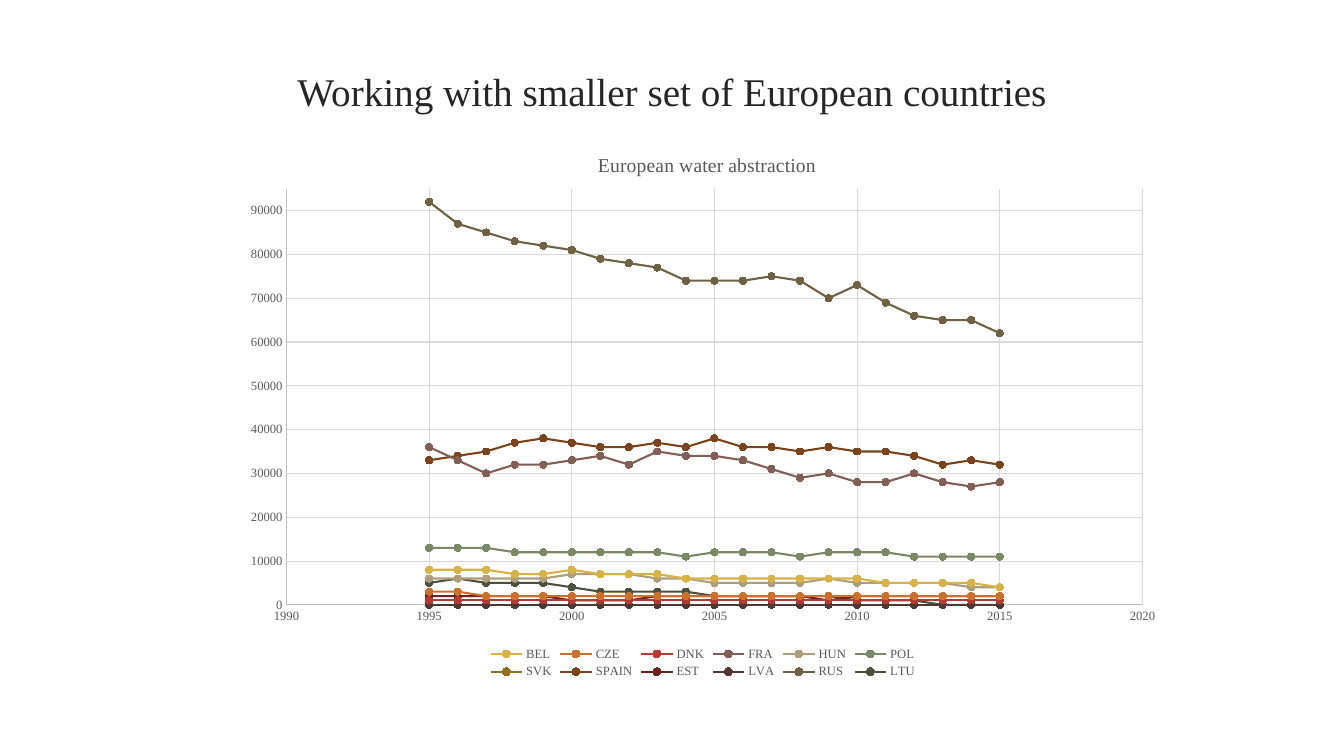
from lxml.etree import SubElement as Sub
from pptx import Presentation
from pptx.chart.data import XyChartData
from pptx.dml.color import RGBColor
from pptx.enum.chart import XL_CHART_TYPE as Kind
from pptx.enum.chart import XL_LEGEND_POSITION as Side
from pptx.enum.chart import XL_MARKER_STYLE as Mark
from pptx.enum.chart import XL_TICK_MARK as Tick
from pptx.enum.text import MSO_ANCHOR as Anchor
from pptx.enum.text import PP_ALIGN as Align
from pptx.oxml.ns import qn
from pptx.util import Inches, Pt

YEARS = range(1995, 2016)

# Country: line colour, water abstraction in thousands for each year
WATER = {
    "BEL": ("D9B247", [8, 8, 8, 7, 7, 8, 7, 7, 7, 6, 6,
                       6, 6, 6, 6, 6, 5, 5, 5, 5, 4]),
    "CZE": ("CC702D", [3, 3] + [2] * 19),
    "DNK": ("B53A31", [1] * 21),
    "FRA": ("815F56", [36, 33, 30, 32, 32, 33, 34, 32, 35, 34, 34,
                       33, 31, 29, 30, 28, 28, 30, 28, 27, 28]),
    "HUN": ("AE9E7C", [6, 6, 6, 6, 6, 7, 7, 7, 6, 6, 5,
                       5, 5, 5, 6, 5, 5, 5, 5, 4, 4]),
    "POL": ("7B8865", [13, 13, 13, 12, 12, 12, 12, 12, 12, 11, 12,
                       12, 12, 11, 12, 12, 12, 11, 11, 11, 11]),
    "SVK": ("8F711E", [1] * 21),
    "SPAIN": ("7A431B", [33, 34, 35, 37, 38, 37, 36, 36, 37, 36, 38,
                         36, 36, 35, 36, 35, 35, 34, 32, 33, 32]),
    "EST": ("6D231D", [2, 2, 2, 2, 2, 1, 1, 1, 2, 2, 2,
                       2, 2, 2, 1, 2, 2, 2, 2, 2, 2]),
    "LVA": ("4D3934", [0] * 21),
    "RUS": ("6E6144", [92, 87, 85, 83, 82, 81, 79, 78, 77, 74, 74,
                       74, 75, 74, 70, 73, 69, 66, 65, 65, 62]),
    "LTU": ("4A523D", [5, 6, 5, 5, 5, 4, 3, 3, 3, 3, 2,
                       2, 2, 2, 2, 1, 1, 1, 0, 0, 0]),
}


def tint(code):
    return RGBColor.from_string(code)


def paint(line, code, width):
    line.color.rgb = tint(code)
    line.width = Pt(width)


def place(node, index, **box):
    """Fix a chart part at a box given in percent of the chart."""
    for old in node.findall(qn("c:layout")):
        node.remove(old)
    layout = node.makeelement(qn("c:layout"))
    node.insert(index, layout)
    manual = Sub(layout, qn("c:manualLayout"))
    if node.tag == qn("c:plotArea"):
        Sub(manual, qn("c:layoutTarget")).set("val", "inner")
    for key in ("x", "y"):
        Sub(manual, qn(f"c:{key}Mode")).set("val", "edge")
    for key, share in box.items():
        Sub(manual, qn(f"c:{key}")).set("val", str(share / 100))


class Deck:
    face = "Times New Roman"
    dark, grey, edge, grid = "262626", "595959", "BFBFBF", "D9D9D9"

    def __init__(self, wide, high):
        self.show = Presentation()
        self.show.slide_width = Inches(wide)
        self.show.slide_height = Inches(high)
        self.slide = self.show.slides.add_slide(self.show.slide_layouts[5])

    def area(self, *box):
        """Turn percent of the slide into left, top, width, height."""
        wide, high = self.show.slide_width, self.show.slide_height
        return [int(side * share / 100)
                for side, share in zip((wide, high) * 2, box)]

    def style(self, font, size, code):
        font.name, font.size, font.bold = self.face, Pt(size), False
        font.color.rgb = tint(code)

    def title(self, text, *box):
        head = self.slide.shapes.title
        head.left, head.top, head.width, head.height = self.area(*box)
        frame = head.text_frame
        frame.text = text
        frame.vertical_anchor = Anchor.MIDDLE
        line = frame.paragraphs[0]
        line.alignment = Align.CENTER
        self.style(line.runs[0].font, 28, self.dark)

    def axis(self, axis, low, high, step):
        axis.minimum_scale, axis.maximum_scale = low, high
        axis.major_unit = step
        axis.major_tick_mark = axis.minor_tick_mark = Tick.NONE
        axis.has_major_gridlines = True
        paint(axis.major_gridlines.format.line, self.grid, 0.75)
        paint(axis.format.line, self.edge, 0.75)
        self.style(axis.tick_labels.font, 9, self.grey)
        axis.tick_labels.number_format = "General"
        axis.tick_labels.number_format_is_linked = False

    def chart(self, text, table, *box):
        data = XyChartData()
        for name, (_, values) in table.items():
            row = data.add_series(name)
            for year, value in zip(YEARS, values):
                row.add_data_point(year, value * 1000)
        chart = self.slide.shapes.add_chart(
            Kind.XY_SCATTER_LINES, *self.area(*box), data).chart
        self.style(chart.font, 10, "000000")
        chart.plots[0].vary_by_categories = False
        for row, (code, _) in zip(chart.plots[0].series, table.values()):
            row.smooth = False
            paint(row.format.line, code, 1.5)
            row.marker.style, row.marker.size = Mark.CIRCLE, 5
            row.marker.format.fill.solid()
            row.marker.format.fill.fore_color.rgb = tint(code)
            paint(row.marker.format.line, code, 0.75)
        self.axis(chart.category_axis, 1990, 2020, 5)
        self.axis(chart.value_axis, 0, 95000, 10000)

        chart.has_title = True
        frame = chart.chart_title.text_frame
        frame.text = text
        self.style(frame.paragraphs[0].runs[0].font, 14, self.grey)
        chart.has_legend = True
        legend = chart.legend
        legend.position, legend.include_in_layout = Side.BOTTOM, False
        self.style(legend.font, 9, self.grey)

        plot = chart.element.find(".//" + qn("c:plotArea"))
        place(plot, 0, x=5.8, y=11.1, w=90.9, h=74.8)
        place(chart.chart_title.format.element
              if hasattr(chart.chart_title.format, "element")
              else chart.element.find(".//" + qn("c:title")),
              1, x=38.5, y=4)
        place(chart.element.find(".//" + qn("c:legend")), 1,
              x=27, y=92.8, w=46, h=7)


def main():
    deck = Deck(13.33, 7.5)
    deck.title("Working with smaller set of European countries",
               16, 7.2, 68, 9.73)
    deck.chart("European water abstraction", WATER, 17.25, 16.8, 70.07, 73.6)
    deck.show.save("out.pptx")


if __name__ == "__main__":
    main()
